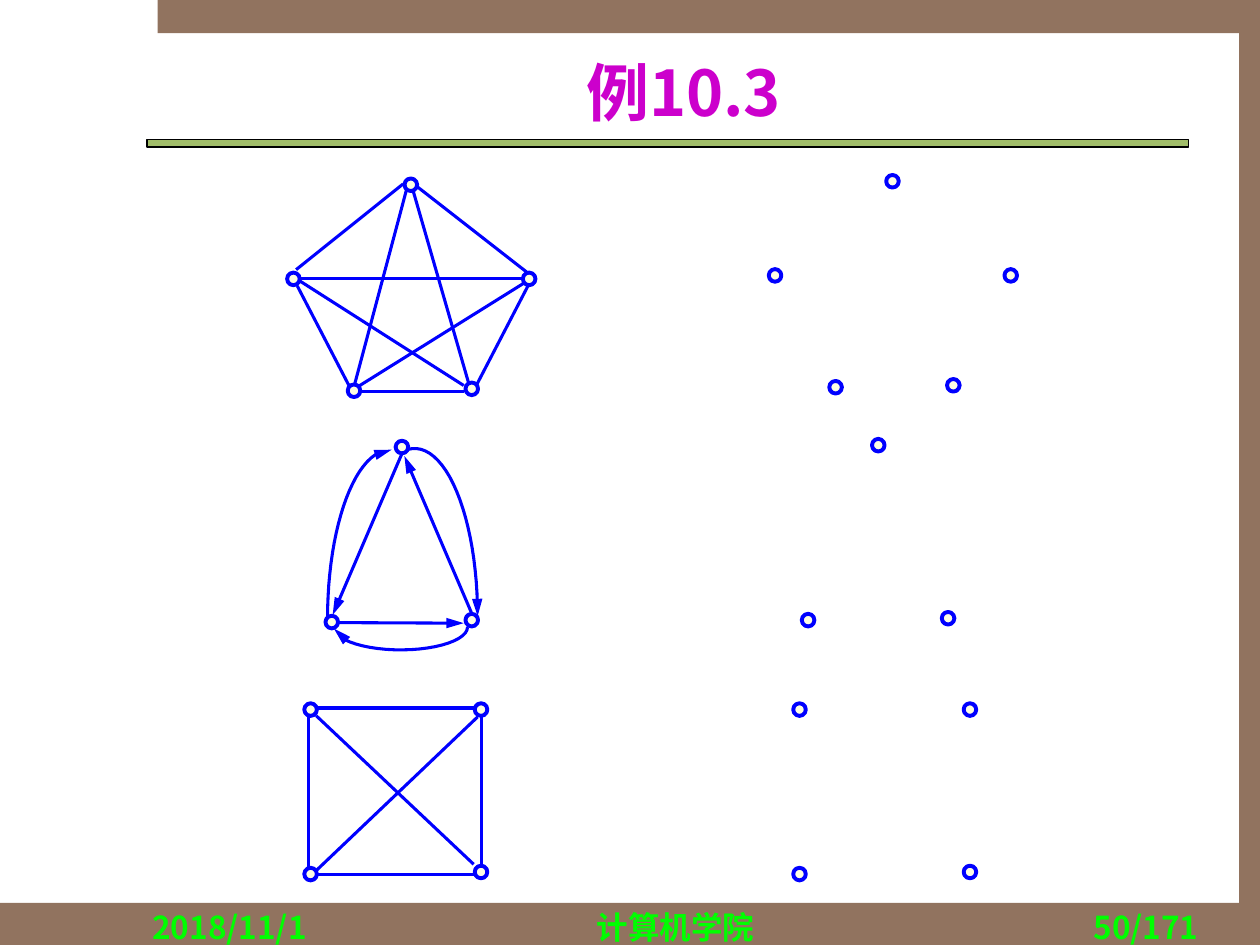
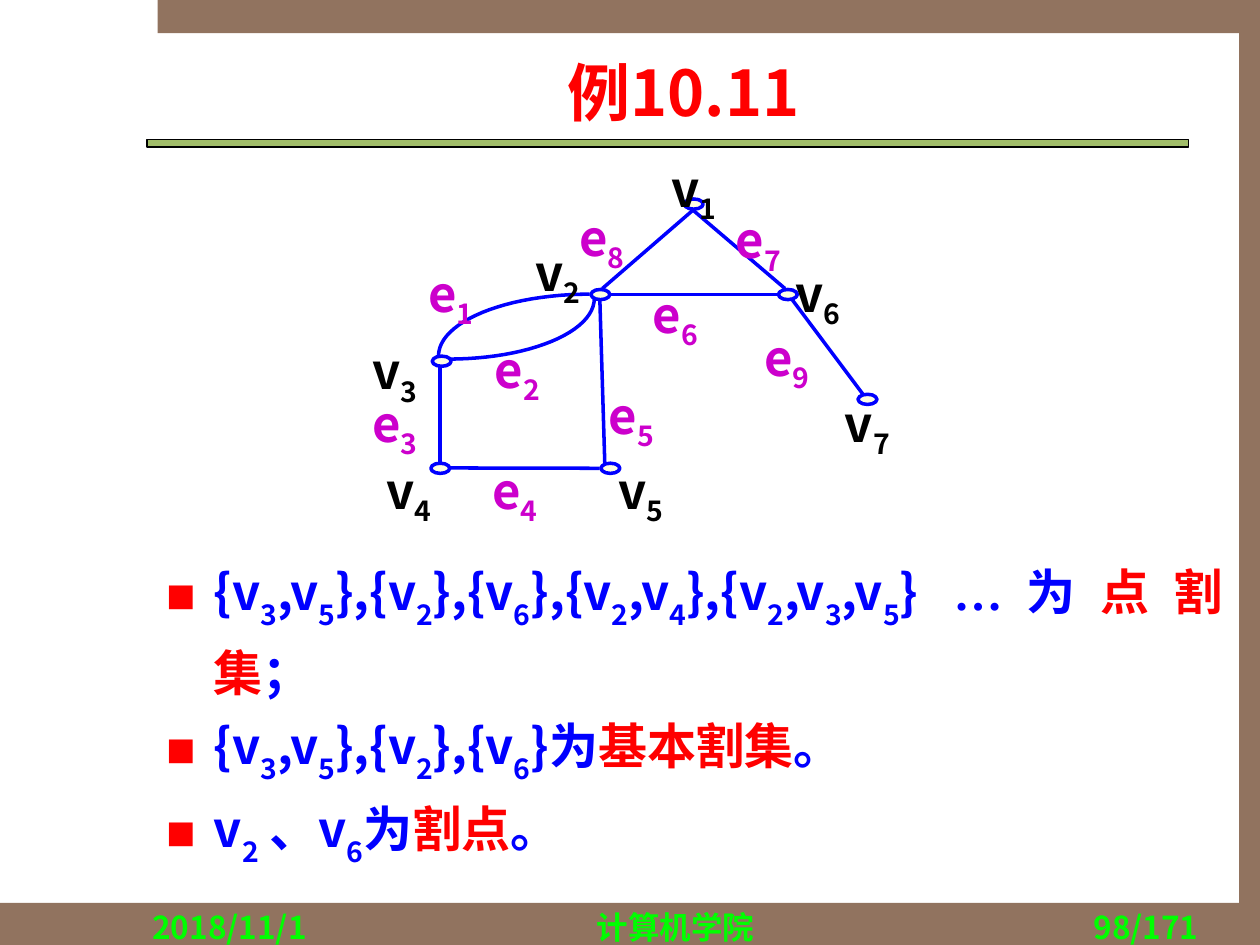
from math import cos, radians, sin

from lxml.etree import SubElement
from pptx import Presentation
from pptx.dml.color import RGBColor
from pptx.enum.shapes import MSO_CONNECTOR as Connector, MSO_SHAPE as Shape
from pptx.enum.text import MSO_ANCHOR as Anchor, PP_ALIGN as Align
from pptx.oxml.ns import qn
from pptx.util import Pt

BROWN = RGBColor(0x91, 0x73, 0x5F)
OLIVE = RGBColor(0xA1, 0xBD, 0x69)
GREEN = RGBColor(0x00, 0xFF, 0x00)
BLUE = RGBColor(0x00, 0x00, 0xFF)
RED = RGBColor(0xFF, 0x00, 0x00)
MAGENTA = RGBColor(0xCC, 0x00, 0xCC)
BLACK = RGBColor(0x00, 0x00, 0x00)
CREAM = RGBColor(0xFE, 0xFD, 0xE3)
FONT = "Noto Sans CJK SC"
SYMBOL_FONT = "Times New Roman"

PENTAGON = [(234.8, 105.6), (167.7, 159.4), (302.4, 159.4), (202.3, 223.3), (269.6, 222.2)]
PENTAGON_EDGES = [
    ((205.9, 223.9), (265, 223.9)), ((169.9, 163.4), (199.4, 220.3)),
    ((169.2, 154.1), (230.4, 105.1)), ((299.5, 158.9), (169.9, 158.9)),
    ((238.3, 106.6), (301, 155.5)), ((271.4, 221.8), (301.7, 163.4)),
    ((236.2, 109.4), (267.8, 218.9)), ((171.4, 160.6), (265, 220.3)),
    ((232.6, 107.3), (202.3, 221)), ((204.5, 221), (300.2, 161.3)),
]
TRIANGLE = [(229.7, 255.5), (189.6, 355.5), (269.6, 354.4)]
TRIANGLE_ARROWS = [
    ((193.7, 355.8), (265, 356.1)), ((269.3, 349.9), (231.1, 260.6)),
    ((229.7, 259.2), (190.1, 351.4)),
]
TRIANGLE_ARCS = [
    ((236.9, 352.1), (36, 95.8), (-96, 0)),
    ((223.2, 353.5), (36, 96.5), (180, 271)),
    ((229, 358.4), (38.2, 13), (0, 176)),
]
SQUARE = [(177.5, 405.5), (274.9, 405.5), (177.5, 499.5), (274.9, 498.3)]
SQUARE_EDGES = [
    ((181.4, 499.8), (270.7, 499.8)), ((272.9, 409.7), (180.7, 497.5)),
    ((176.4, 496.1), (176.4, 409)), ((275.2, 496.1), (275.2, 409)),
    ((181.4, 404.6), (270.7, 404.6)), ((180.7, 409), (270.7, 493.9)),
]

CUT_VERTICES = [
    (396.4, 116.6), (343.1, 168.3), (252.4, 206.4), (251.6, 267.6),
    (348.8, 267.6), (450.2, 168.3), (495.7, 228.2),
]
CUT_EDGES = [
    ((344.2, 164.9), (396.7, 119.5)), ((251.3, 264.2), (251.3, 206.6)),
    ((342.7, 168.3), (345.6, 265)), ((395.3, 119.5), (448.6, 164.9)),
    ((254.2, 267.4), (342.7, 267.6)), ((346.3, 168.2), (444.2, 168.2)),
    ((452.2, 170.6), (493.2, 225.4)),
]
CUT_ARCS = [
    ((337, 203.4), (86.4, 35.3), (180, 270)),
    ((256.3, 170.6), (83.3, 34.6), (0, 90)),
]
VERTEX_LABELS = [
    (383.8, 82.8), (306, 131), (212.7, 187.2), (221, 255.6),
    (353.5, 255.6), (454.7, 142.8), (482.8, 217.4),
]
EDGE_LABELS = [
    (244.8, 142.8), (282.7, 186.5), (212.7, 217.4), (281.2, 255.6), (348, 212.4),
    (373, 154.8), (420.5, 112.3), (331.2, 110.9), (436.8, 179.3),
]
CUT_SETS = [
    "{v_3,v_5},{v_2},{v_6},{v_2,v_4},{v_2,v_3,v_5} …为*点割集*；",
    "{v_3,v_5},{v_2},{v_6}为*基本割集*。",
    "v_2 、v_6为*割点*。",
]


def add_run(paragraph, words, size, color, font=FONT, baseline=0):
    if not words:
        return
    run = paragraph.add_run()
    run.text = words
    run.font.size = Pt(size)
    run.font.bold = True
    run.font.color.rgb = color
    run.font.name = font
    properties = run._r.get_or_add_rPr()
    SubElement(properties, qn("a:ea"), typeface=font)
    if baseline:
        properties.set("baseline", str(baseline * 1000))


def add_marked_runs(paragraph, marked, size, color, subscript):
    for index, stretch in enumerate(marked.split("*")):
        shade = RED if index % 2 else color
        first, *others = stretch.split("_")
        for sub, normal in [("", first)] + [(piece[0], piece[1:]) for piece in others]:
            add_run(paragraph, sub, size, shade, baseline=subscript)
            before, dots, after = normal.partition("…")
            add_run(paragraph, before, size, shade)
            add_run(paragraph, dots, size, shade, font=SYMBOL_FONT)
            add_run(paragraph, after, size, shade)


def add_bullet(paragraph):
    properties = paragraph._p.get_or_add_pPr()
    indent = Pt(27.36)
    properties.set("marL", str(indent))
    properties.set("indent", str(-indent))
    properties.set("hangingPunct", "0")
    bullet_color = SubElement(properties, qn("a:buClr"))
    SubElement(bullet_color, qn("a:srgbClr"), val=str(RED))
    SubElement(properties, qn("a:buFont"), typeface=SYMBOL_FONT)
    SubElement(properties, qn("a:buChar"), char="■")


def add_text(slide, box, *lines, size, color, align=Align.LEFT, anchor=Anchor.TOP,
             insets=(7.2, 3.6), spacing=1.0, subscript=-25, bullets=False):
    frame = slide.shapes.add_textbox(*map(Pt, box)).text_frame
    frame.word_wrap = True
    frame.vertical_anchor = anchor
    frame.margin_left = frame.margin_right = Pt(insets[0])
    frame.margin_top = frame.margin_bottom = Pt(insets[1])
    for index, line in enumerate(lines):
        paragraph = frame.add_paragraph() if index else frame.paragraphs[0]
        paragraph.alignment = align
        paragraph.line_spacing = spacing
        if bullets:
            add_bullet(paragraph)
        add_marked_runs(paragraph, line, size, color, subscript)


def add_figure(slide, kind, box, fill, line=None, width=0.75):
    shape = slide.shapes.add_shape(kind, *map(Pt, box))
    shape.shadow.inherit = False
    shape.fill.solid()
    shape.fill.fore_color.rgb = fill
    if line is None:
        shape.line.fill.background()
    else:
        shape.line.color.rgb = line
        shape.line.width = Pt(width)


def style_edge(shape, width, arrow):
    shape.line.color.rgb = BLUE
    shape.line.width = Pt(width)
    if arrow:
        SubElement(shape.line._get_or_add_ln(), qn("a:tailEnd"),
                   type="triangle", w="med", len="lg")


def add_edges(slide, edges, width=1.75, arrow=False):
    for start, end in edges:
        connector = slide.shapes.add_connector(
            Connector.STRAIGHT, *map(Pt, (*start, *end)))
        style_edge(connector, width, arrow)
        SubElement(connector._element.spPr, qn("a:effectLst"))


def add_arcs(slide, arcs, width=1.75, arrow=False, steps=24):
    for (center_x, center_y), (radius_x, radius_y), (first, last) in arcs:
        angles = [radians(first + (last - first) * step / steps) for step in range(steps + 1)]
        points = [(Pt(center_x + radius_x * cos(angle)), Pt(center_y + radius_y * sin(angle)))
                  for angle in angles]
        builder = slide.shapes.build_freeform(*points[0], scale=1.0)
        builder.add_line_segments(points[1:], close=False)
        arc = builder.convert_to_shape()
        arc.shadow.inherit = False
        arc.fill.background()
        style_edge(arc, width, arrow)


def add_vertices(slide, centers, size=(7.2, 7.2), width=2.25, shift=(0, 0)):
    for x, y in centers:
        box = (x + shift[0] - size[0] / 2, y + shift[1] - size[1] / 2, *size)
        add_figure(slide, Shape.OVAL, box, CREAM, BLUE, width)


def add_labels(slide, letter, places, color):
    for number, (left, top) in enumerate(places, 1):
        add_text(slide, (left, top, 36, 31.7), f"{letter}_{number}", size=28,
                 color=color, insets=(0, 0), spacing=1.2)


def start_slide(presentation, title, title_color, page):
    slide = presentation.slides.add_slide(presentation.slide_layouts[6])
    for band in [(0, 516, 720, 24), (90, 0, 630, 18.9), (708, 18, 12, 498)]:
        add_figure(slide, Shape.RECTANGLE, band, BROWN)
    add_figure(slide, Shape.RECTANGLE, (84, 79.6, 595.4, 4.4), OLIVE, BLACK)
    footers = [
        (80, 150, "2018/11/1", Align.LEFT),
        (230, 312, "计算机学院", Align.CENTER),
        (542, 150, f"{page}/171", Align.RIGHT),
    ]
    for left, width, words, align in footers:
        add_text(slide, (left, 515.2, width, 13), words, size=18, color=GREEN, align=align)
    add_text(slide, (102, 23.4, 577.3, 57), title, size=36, color=title_color,
             align=Align.CENTER, anchor=Anchor.MIDDLE)
    return slide


def build_complement_slide(presentation):
    slide = start_slide(presentation, "例10.3", MAGENTA, 50)
    add_edges(slide, PENTAGON_EDGES)
    add_edges(slide, SQUARE_EDGES)
    add_edges(slide, TRIANGLE_ARROWS, arrow=True)
    add_arcs(slide, TRIANGLE_ARCS, arrow=True)
    for centers, shift in [(PENTAGON, (275.2, -2)), (TRIANGLE, (272.2, -1.1)),
                           (SQUARE, (279.4, 0))]:
        add_vertices(slide, centers)
        add_vertices(slide, centers, shift=shift)


def build_cut_set_slide(presentation):
    slide = start_slide(presentation, "例10.11", RED, 98)
    add_text(slide, (87.8, 309.6, 617.8, 168.5), *CUT_SETS, size=28, color=BLUE,
             align=Align.JUSTIFY, spacing=1.2, subscript=-30, bullets=True)
    add_edges(slide, CUT_EDGES, width=2)
    add_arcs(slide, CUT_ARCS, width=2)
    add_vertices(slide, CUT_VERTICES, size=(10.8, 5.8), width=2)
    add_labels(slide, "v", VERTEX_LABELS, BLACK)
    add_labels(slide, "e", EDGE_LABELS, MAGENTA)


def main():
    presentation = Presentation()
    presentation.slide_width = Pt(720)
    presentation.slide_height = Pt(540)
    build_complement_slide(presentation)
    build_cut_set_slide(presentation)
    presentation.save("out.pptx")


if __name__ == "__main__":
    main()
